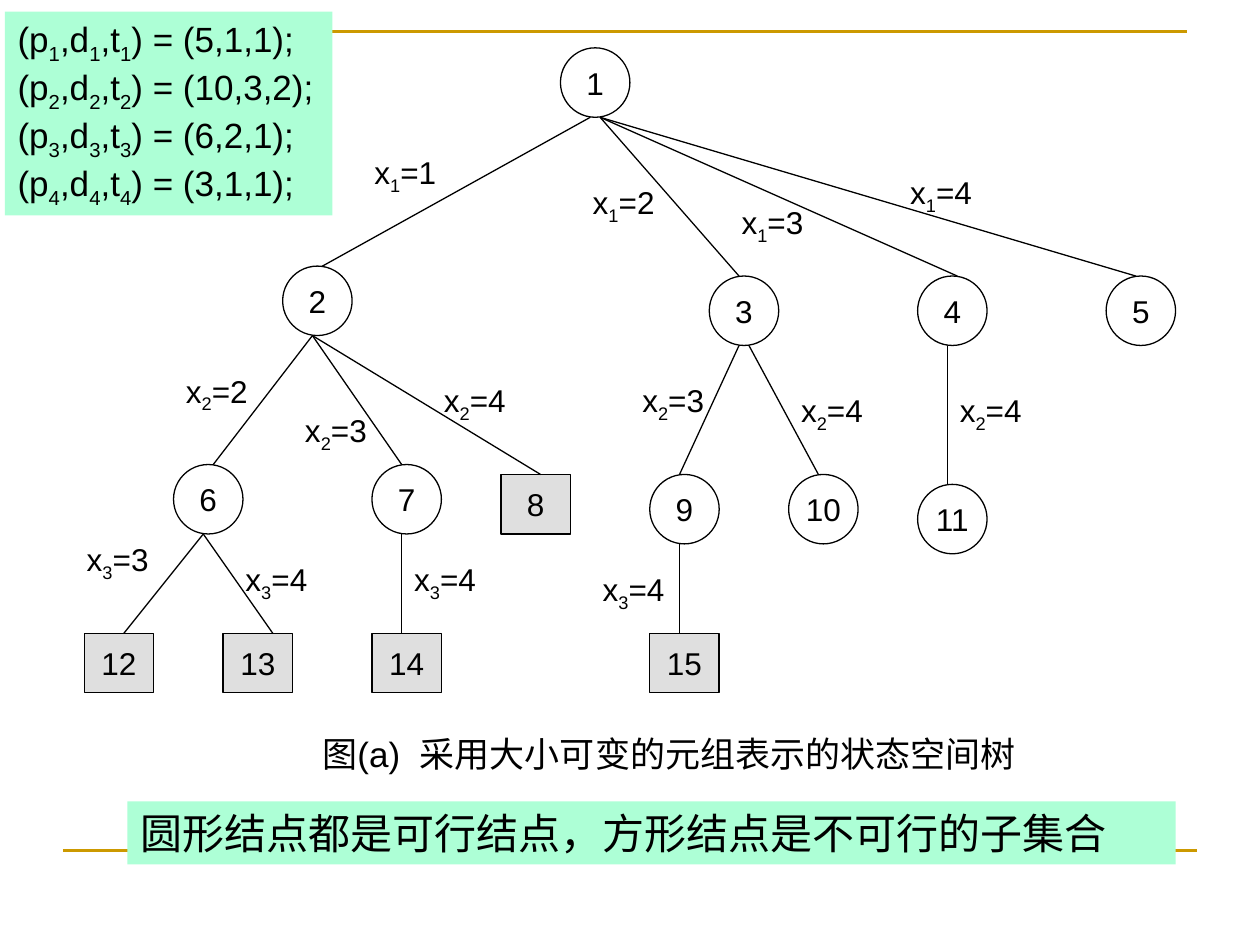
"""Draw the state space tree of a job scheduling problem with variable-size tuples."""

from typing import NamedTuple

from lxml.etree import SubElement
from pptx import Presentation
from pptx.dml.color import RGBColor
from pptx.enum.shapes import MSO_CONNECTOR as Connector, MSO_SHAPE as Preset
from pptx.enum.text import MSO_ANCHOR as Anchor, MSO_AUTO_SIZE as AutoSize, PP_ALIGN as Align
from pptx.oxml.ns import qn
from pptx.util import Inches, Mm, Pt

COLORS = {"ink": "000000", "paper": "FFFFFF", "rule": "CC9900", "leaf": "DFDFDF", "panel": "ADFFD6"}
LATIN, CHINESE = "Arial", "Noto Sans CJK SC"
CELL, LEFT, TOP = Mm(2), Inches(0.59), Inches(0.38)
NODE_WIDTH, CIRCLE_HEIGHT, SQUARE_HEIGHT = 7, 7, 6
LABEL_WIDTH, LABEL_HEIGHT = 10, 5.6


class Node(NamedTuple):
    """A tree node by its top left grid cell."""
    col: int
    row: int
    feasible: bool = True

    @property
    def height(self) -> int:
        return CIRCLE_HEIGHT if self.feasible else SQUARE_HEIGHT


class Edge(NamedTuple):
    """A parent-child line with its end columns and its label."""
    parent: int
    child: int
    start: int
    end: int
    label: str
    label_col: int
    label_row: int


class Area(NamedTuple):
    """A rectangle in grid units."""
    col: float
    row: float
    width: float
    height: float


NODES = {
    1: Node(49, 0), 2: Node(21, 22), 3: Node(64, 23), 4: Node(85, 23), 5: Node(104, 23),
    6: Node(10, 42), 7: Node(30, 42), 8: Node(43, 43, False),
    9: Node(58, 43), 10: Node(72, 43), 11: Node(85, 44),
    12: Node(1, 59, False), 13: Node(15, 59, False), 14: Node(30, 59, False), 15: Node(58, 59, False),
}
EDGES = [
    Edge(1, 2, 52, 25, "x_1=1", 29, 10), Edge(1, 3, 53, 67, "x_1=2", 51, 13),
    Edge(1, 4, 53, 89, "x_1=3", 66, 15), Edge(1, 5, 53, 107, "x_1=4", 83, 12),
    Edge(2, 6, 24, 14, "x_2=2", 10, 32), Edge(2, 7, 24, 33, "x_2=3", 22, 36),
    Edge(2, 8, 24, 47, "x_2=4", 36, 33), Edge(3, 9, 67, 61, "x_2=3", 56, 33),
    Edge(3, 10, 68, 75, "x_2=4", 72, 34), Edge(4, 11, 88, 88, "x_2=4", 88, 34),
    Edge(6, 12, 13, 5, "x_3=3", 0, 49), Edge(6, 13, 13, 20, "x_3=4", 16, 51),
    Edge(7, 14, 33, 33, "x_3=4", 33, 51), Edge(9, 15, 61, 61, "x_3=4", 52, 52),
]
JOBS = ["(5,1,1)", "(10,3,2)", "(6,2,1)", "(3,1,1)"]
CAPTION = "图(a)  采用大小可变的元组表示的状态空间树"
STATEMENT = "圆形结点都是可行结点，方形结点是不可行的子集合"
JOBS_AREA = Area(-7, -3.65, 33, 20.55)
CAPTION_AREA = Area(23.75, 68.35, 75.3, 5.6)
STATEMENT_AREA = Area(5.35, 75.95, 105.65, 6.35)


def size(cells: float) -> int:
    """Turn grid cells into a length."""
    return round(cells * CELL)


def point(col: float, row: float) -> tuple[int, int]:
    """Turn a grid position into slide coordinates."""
    return LEFT + size(col), TOP + size(row)


def frame(area: Area) -> tuple[int, int, int, int]:
    """Turn a grid area into left, top, width and height."""
    return *point(area.col, area.row), size(area.width), size(area.height)


def color(name: str) -> RGBColor:
    """Look up a named colour."""
    return RGBColor.from_string(COLORS[name])


def format_span(span, points: float, font: str = LATIN) -> None:
    """Set size, colour and fonts of a run."""
    span.font.size, span.font.name = Pt(points), font
    span.font.color.rgb = color("ink")
    SubElement(span.font._element, qn("a:ea")).set("typeface", CHINESE)


def write_indexed(para, text: str, points: float) -> None:
    """Write text in which an underscore lowers the next character."""
    head, *parts = text.split("_")
    pieces = [(head, False)]
    for part in parts:
        pieces += [(part[0], True), (part[1:], False)]
    for piece, lowered in pieces:
        span = para.add_run()
        span.text = piece
        format_span(span, points)
        if lowered:
            span.font._element.set("baseline", "-25000")


def fill_panel(box, area: Area, fill: str) -> None:
    """Place a text panel and give it a plain fill and top-aligned text."""
    box.left, box.top, box.width, box.height = frame(area)
    box.fill.solid()
    box.fill.fore_color.rgb = color(fill)
    box.text_frame.word_wrap = True
    box.text_frame.auto_size = AutoSize.NONE
    box.text_frame.vertical_anchor = Anchor.TOP


def bring_forward(box) -> None:
    """Move a shape to the front of the page."""
    box.element.getparent().append(box.element)


def draw_line(page, start: tuple, end: tuple, ink: str = "ink", width: float = 0.75) -> None:
    """Draw a straight line between two grid positions."""
    line = page.shapes.add_connector(Connector.STRAIGHT, *point(*start), *point(*end))
    line.line.color.rgb, line.line.width = color(ink), Pt(width)
    SubElement(line.element.spPr, qn("a:effectLst"))


def draw_rules(page) -> None:
    """Draw the corner rule at the top and the rule at the bottom."""
    builder = page.shapes.build_freeform(*point(-2.15, 6.85))
    builder.add_line_segments([point(-2.15, -1.65), point(112.15, -1.65)], close=False)
    corner = builder.convert_to_shape()
    corner.shadow.inherit = False
    corner.fill.background()
    corner.line.color.rgb, corner.line.width = color("rule"), Pt(1.5)
    draw_line(page, (-1.15, 80.9), (113.15, 80.9), "rule", 1.5)


def draw_node(page, number: int, node: Node) -> None:
    """Draw a circle for a feasible node and a grey square for the others."""
    preset = Preset.OVAL if node.feasible else Preset.RECTANGLE
    box = page.shapes.add_shape(preset, *frame(Area(node.col, node.row, NODE_WIDTH, node.height)))
    box.shadow.inherit = False
    if node.feasible:
        box.fill.background()
    else:
        box.fill.solid()
        box.fill.fore_color.rgb = color("leaf")
    box.line.color.rgb, box.line.width = color("ink"), Pt(0.75)
    box.text_frame.text = str(number)
    box.text_frame.word_wrap = False
    box.text_frame.vertical_anchor = Anchor.MIDDLE
    para = box.text_frame.paragraphs[0]
    para.alignment = Align.CENTER
    format_span(para.runs[0], 18)


def draw_edge(page, edge: Edge) -> None:
    """Draw the line from a parent's bottom to its child's top and its label."""
    parent, child = NODES[edge.parent], NODES[edge.child]
    draw_line(page, (edge.start, parent.row + parent.height), (edge.end, child.row))
    area = Area(edge.label_col, edge.label_row, LABEL_WIDTH, LABEL_HEIGHT)
    box = page.shapes.add_textbox(*frame(area))
    box.text_frame.word_wrap = True
    write_indexed(box.text_frame.paragraphs[0], edge.label, 18)


def draw_line_of_text(box, area: Area, fill: str, text: str, points: float, font: str) -> None:
    """Fill a panel with one left-aligned line."""
    fill_panel(box, area, fill)
    box.text_frame.text = text
    para = box.text_frame.paragraphs[0]
    para.alignment = Align.LEFT
    format_span(para.runs[0], points, font)


def draw_jobs(box) -> None:
    """List profit, deadline and time of each job."""
    fill_panel(box, JOBS_AREA, "panel")
    for index, values in enumerate(JOBS, 1):
        para = box.text_frame.paragraphs[0] if index == 1 else box.text_frame.add_paragraph()
        para.space_before = Pt(0)
        properties = para._p.get_or_add_pPr()
        properties.set("marL", "0")
        properties.set("indent", "0")
        SubElement(properties, qn("a:buNone"))
        write_indexed(para, f"(p_{index},d_{index},t_{index}) = {values};", 20)


def main() -> None:
    """Build and save the deck."""
    deck = Presentation()
    deck.slide_width, deck.slide_height = Inches(10), Inches(7.5)
    page = deck.slides.add_slide(deck.slide_layouts[1])
    statement, jobs = page.shapes.title, page.placeholders[1]
    draw_rules(page)
    for number, node in NODES.items():
        draw_node(page, number, node)
    for edge in EDGES:
        draw_edge(page, edge)
    caption = page.shapes.add_textbox(*frame(CAPTION_AREA))
    draw_line_of_text(caption, CAPTION_AREA, "paper", CAPTION, 20, LATIN)
    draw_line_of_text(statement, STATEMENT_AREA, "panel", STATEMENT, 24, CHINESE)
    draw_jobs(jobs)
    bring_forward(statement)
    bring_forward(jobs)
    deck.save("out.pptx")


if __name__ == "__main__":
    main()
